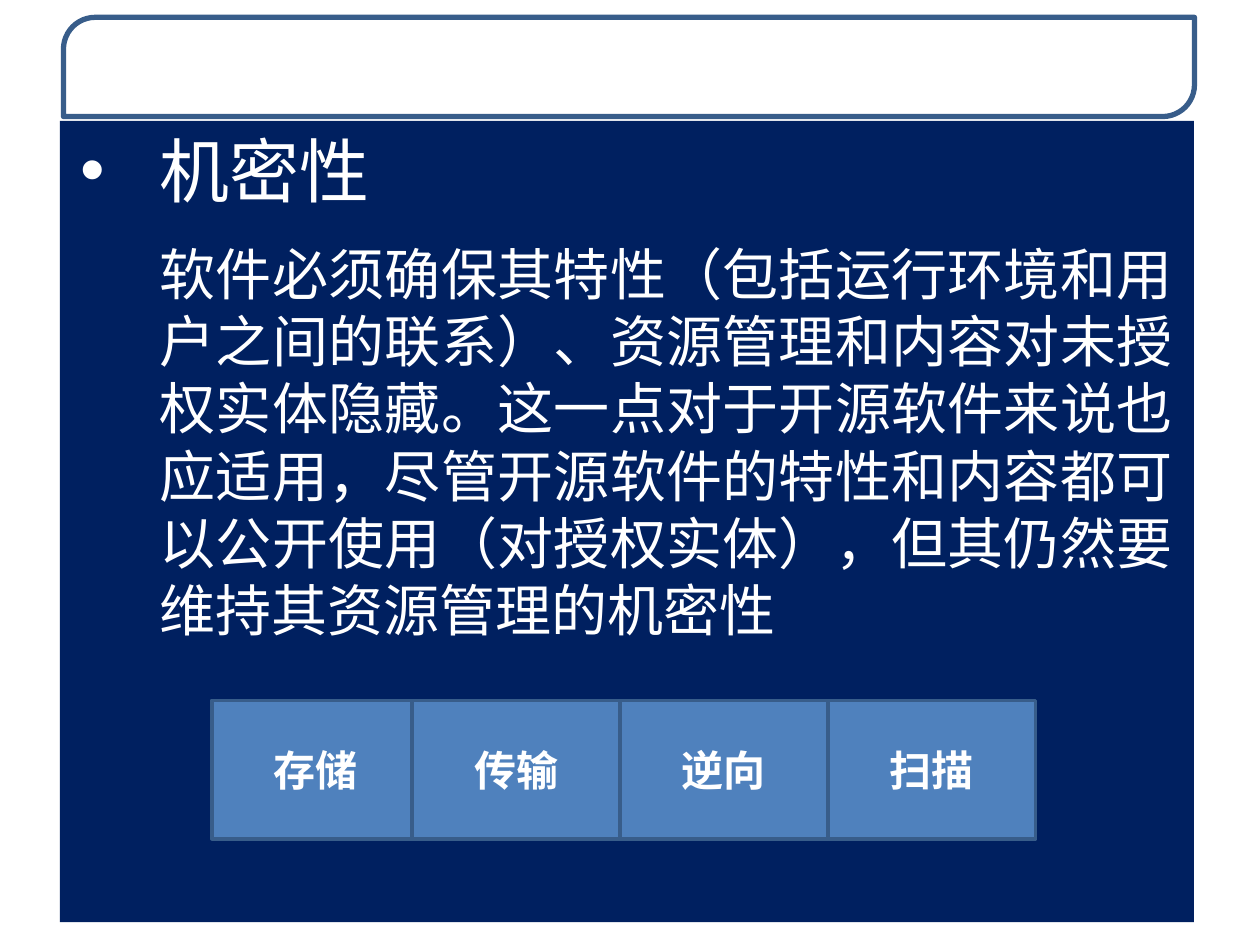
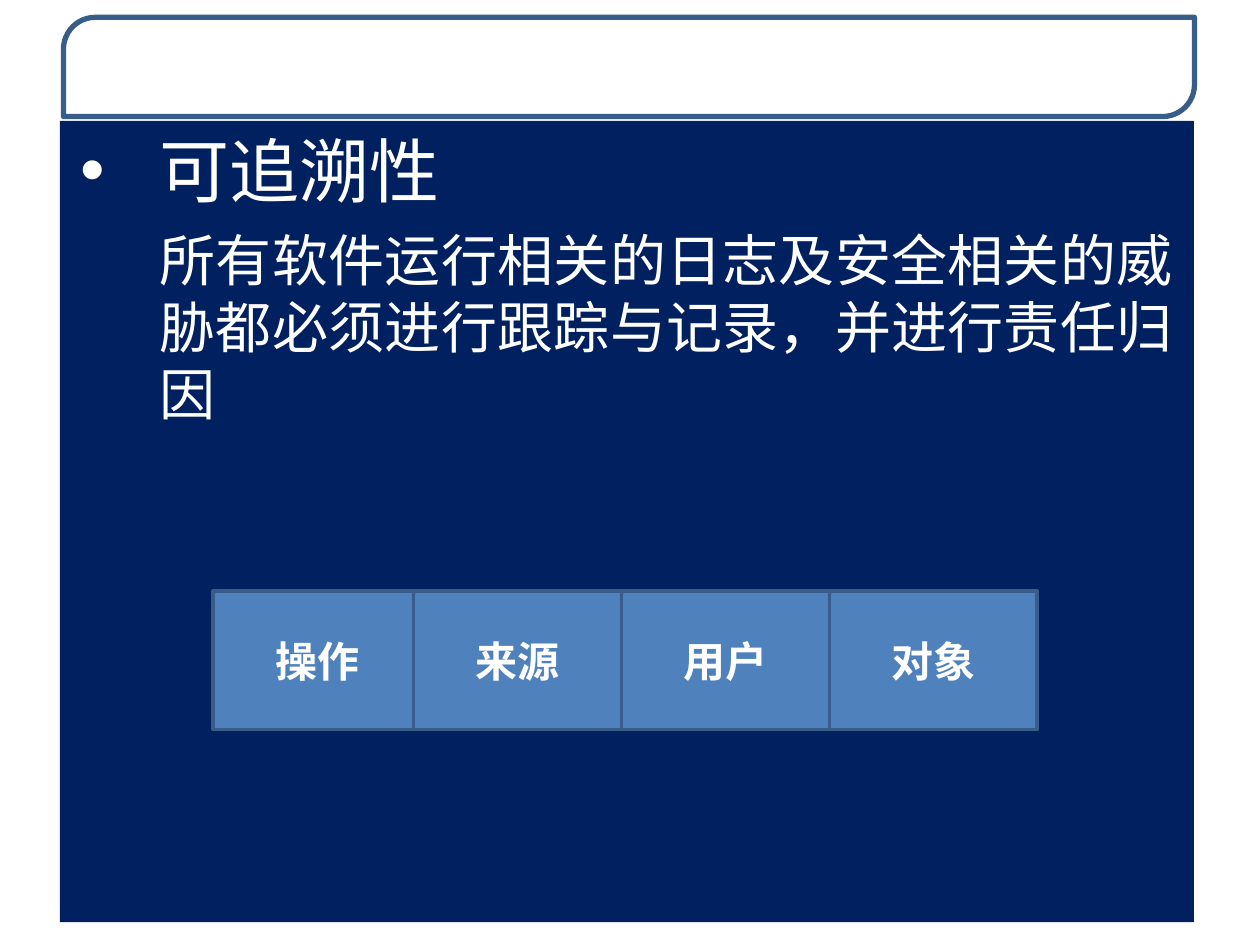
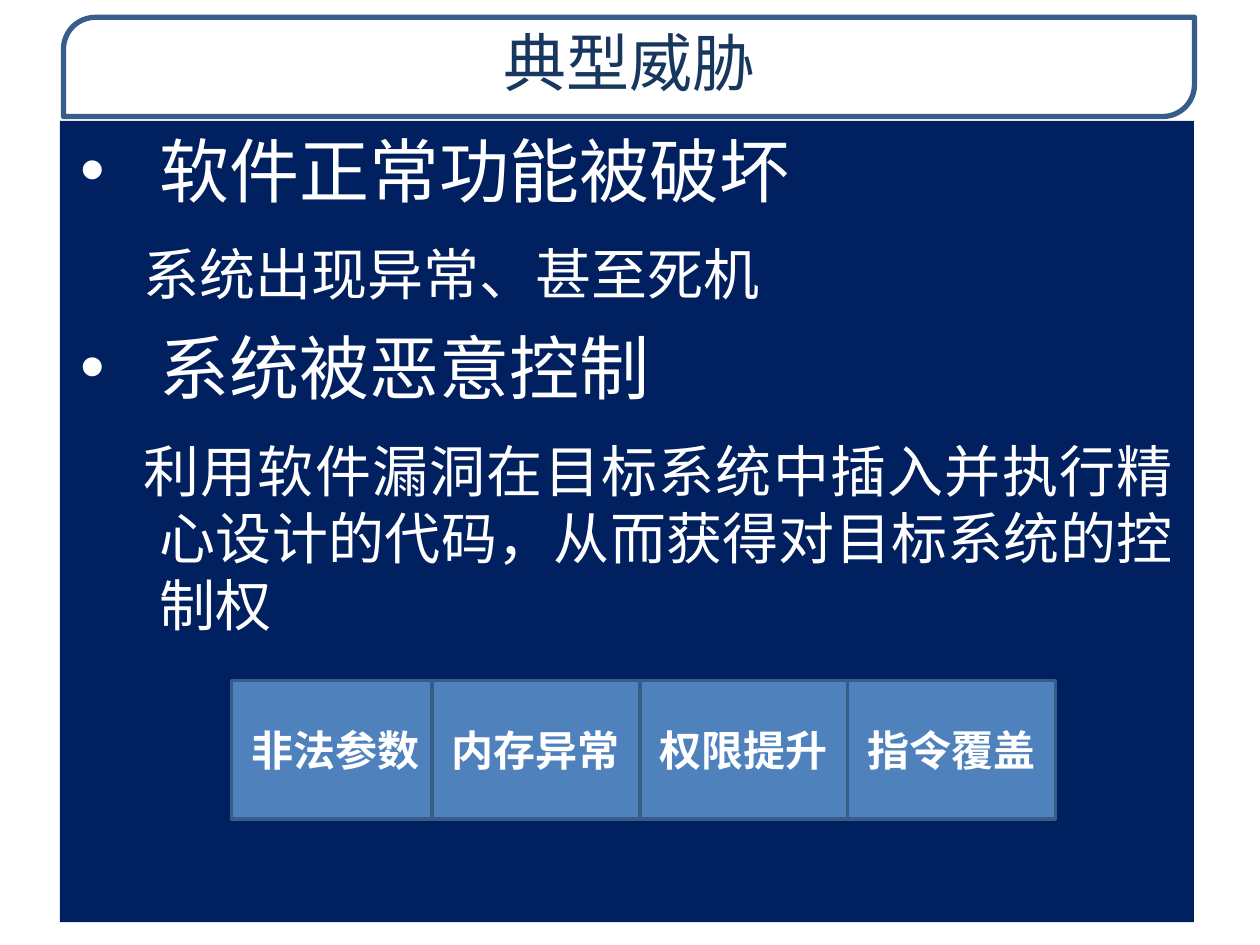
from lxml import etree
from pptx import Presentation
from pptx import util as u
from pptx.dml import color
from pptx.enum import shapes, text
from pptx.oxml import ns

COLORS = {"white": "FFFFFF", "navy": "002060", "blue": "4F81BD",
          "outline": "385D8A", "title": "17375E"}
FONTS = {"heading": "Noto Sans CJK SC", "cell": "Calibri"}
TITLE_ONLY, BLANK = 5, 6


def rgb(name):
    return color.RGBColor.from_string(COLORS[name])


def apply(target, values):
    for name, value in values.items():
        setattr(target, name, value)


def add_xml(parent, tag, **attributes):
    return etree.SubElement(parent, ns.qn(tag), attributes)


class Deck:
    """Holds the shared style and the current slide."""

    cell_width, cell_height, first_overlap = 4.19, 2.79, 0.15
    hanging = 1.6
    margins = {"margin_left": u.Cm(0.25), "margin_right": u.Cm(0.25),
               "margin_top": u.Cm(0.13), "margin_bottom": u.Cm(0.13)}

    def __init__(self):
        self.presentation = Presentation()
        apply(self.presentation, {"slide_width": u.Cm(25.4), "slide_height": u.Cm(19.05)})
        self.slide = None

    def new_slide(self, title=None):
        layout = self.presentation.slide_layouts[TITLE_ONLY if title else BLANK]
        self.slide = self.presentation.slides.add_slide(layout)
        if title:
            self.title(title)

    def set_text(self, paragraph, words, size, font, ink="white", bold=False):
        paragraph.text = words
        apply(paragraph.font, {"size": u.Pt(size), "name": FONTS[font], "bold": bold})
        paragraph.font.color.rgb = rgb(ink)

    def title(self, words):
        shape = self.slide.shapes.title
        apply(shape, {"left": u.Cm(1.3), "top": u.Cm(0.35),
                      "width": u.Cm(22.78), "height": u.Cm(1.93)})
        apply(shape.text_frame, {**self.margins, "word_wrap": True,
                                 "auto_size": text.MSO_AUTO_SIZE.NONE,
                                 "vertical_anchor": text.MSO_ANCHOR.TOP})
        paragraph = shape.text_frame.paragraphs[0]
        self.set_text(paragraph, words, 36, "heading", "title")
        paragraph.alignment = text.PP_ALIGN.CENTER

    def box(self, kind, left, top, width, height, fill, line_width=0):
        shape = self.slide.shapes.add_shape(
            kind, u.Cm(left), u.Cm(top), u.Cm(width), u.Cm(height))
        shape.shadow.inherit = False
        shape.fill.solid()
        shape.fill.fore_color.rgb = rgb(fill)
        if line_width:
            shape.line.color.rgb = rgb("outline")
            shape.line.width = u.Pt(line_width)
        else:
            shape.line.fill.background()
        apply(shape.text_frame, {**self.margins, "word_wrap": True})
        return shape

    def master_band(self):
        """Title frame, placed on the master so that every slide shows it."""
        band = self.box(shapes.MSO_SHAPE.ROUND_2_DIAG_RECTANGLE,
                        1.28, 0.35, 22.8, 2, "white", 3)
        band.adjustments[0] = 0.32
        fill_color = band.element.spPr.find(ns.qn("a:solidFill"))[0]
        add_xml(fill_color, "a:alpha", val="85000")
        self.presentation.slide_master.shapes.element.insert(2, band.element)

    def panel(self, points, body_indent=0):
        """Navy panel of headings, each with its explanation and the space before it."""
        shape = self.box(shapes.MSO_SHAPE.RECTANGLE, 1.21, 2.44, 22.86, 16.15, "navy")
        frame = shape.text_frame
        apply(frame, {"margin_left": u.Cm(0.41), "margin_right": u.Cm(0.41),
                      "vertical_anchor": text.MSO_ANCHOR.TOP})
        for index, (heading, body, body_space) in enumerate(points):
            paragraph = frame.add_paragraph() if index else frame.paragraphs[0]
            self.indent(paragraph, -self.hanging, bullet=True)
            self.set_text(paragraph, heading, 40, "heading")
            paragraph.space_before = u.Pt(10 if index else 0)

            paragraph = frame.add_paragraph()
            self.indent(paragraph, body_indent)
            self.set_text(paragraph, body, 32, "heading")
            paragraph.space_before = u.Pt(body_space)

    def indent(self, paragraph, first_line, bullet=False):
        paragraph.alignment = text.PP_ALIGN.JUSTIFY
        properties = paragraph._p.get_or_add_pPr()
        properties.set("marL", str(u.Cm(self.hanging)))
        properties.set("indent", str(u.Cm(first_line)))
        if bullet:
            bullet_color = add_xml(properties, "a:buClr")
            add_xml(bullet_color, "a:srgbClr", val=COLORS["white"])
            add_xml(properties, "a:buFont", typeface="Arial")
            add_xml(properties, "a:buChar", char="•")
        else:
            add_xml(properties, "a:buNone")

    def cell_row(self, left, top, labels):
        """Adjoining cells; the second slightly overlaps the first."""
        for index, label in enumerate(labels):
            offset = index * self.cell_width - (self.first_overlap if index else 0)
            shape = self.box(shapes.MSO_SHAPE.RECTANGLE, left + offset, top,
                             self.cell_width, self.cell_height, "blue", 2)
            shape.text_frame.vertical_anchor = text.MSO_ANCHOR.MIDDLE
            paragraph = shape.text_frame.paragraphs[0]
            self.set_text(paragraph, label, 24, "cell", bold=True)
            paragraph.alignment = text.PP_ALIGN.CENTER


def main():
    deck = Deck()

    # Confidentiality
    deck.new_slide()
    deck.master_band()
    deck.panel([("机密性", "软件必须确保其特性（包括运行环境和用户之间的联系）、资源管理和内容"
                 "对未授权实体隐藏。这一点对于开源软件来说也应适用，尽管开源软件的特性和内容"
                 "都可以公开使用（对授权实体），但其仍然要维持其资源管理的机密性", 16)])
    deck.cell_row(4.27, 14.12, ["存储", "传输", "逆向", "扫描"])

    # Traceability
    deck.new_slide()
    deck.panel([("可追溯性", "所有软件运行相关的日志及安全相关的威胁都必须进行跟踪与记录，"
                 "并进行责任归因", 8)])
    deck.cell_row(4.3, 11.92, ["操作", "来源", "用户", "对象"])

    # Typical threats
    deck.new_slide("典型威胁")
    deck.panel([("软件正常功能被破坏", "系统出现异常、甚至死机", 16),
                ("系统被恶意控制", "利用软件漏洞在目标系统中插入并执行精心设计的代码，"
                 "从而获得对目标系统的控制权", 16)], body_indent=-0.33)
    deck.cell_row(4.67, 13.72, ["非法参数", "内存异常", "权限提升", "指令覆盖"])

    deck.presentation.save("out.pptx")


if __name__ == "__main__":
    main()
